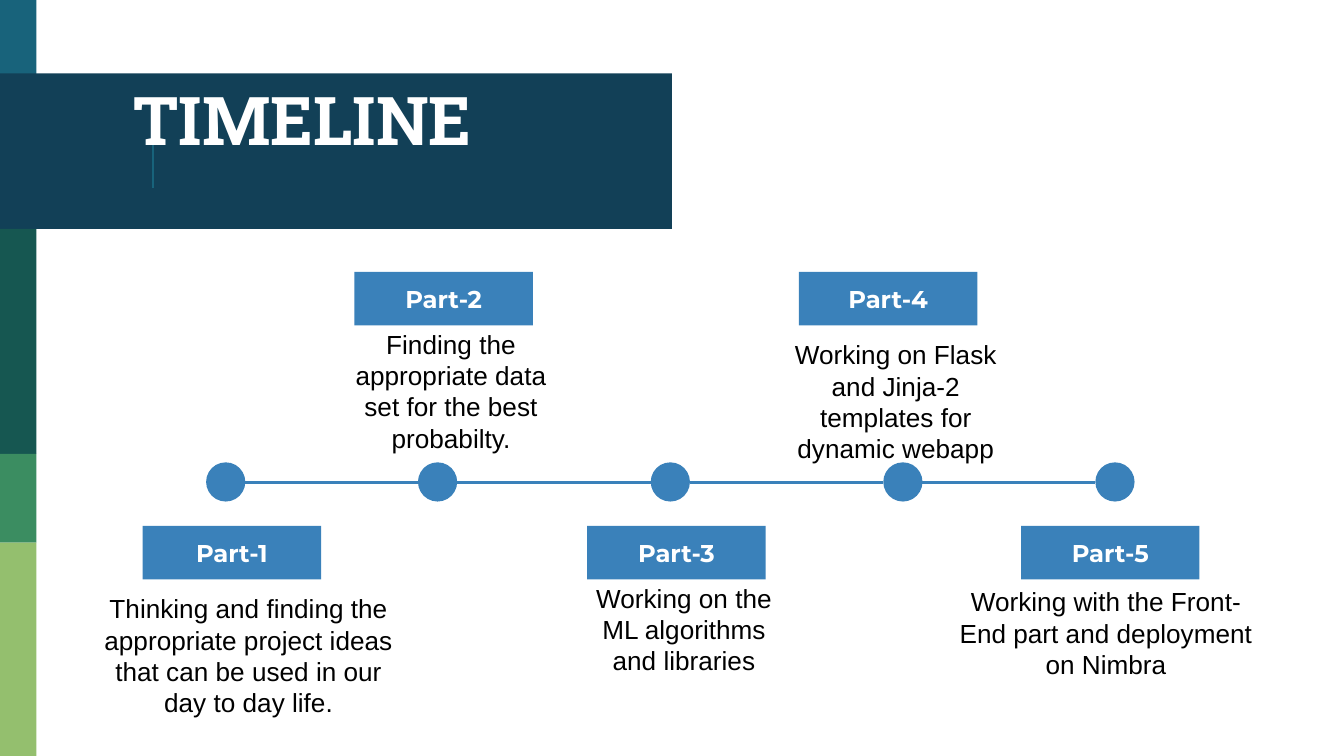
from dataclasses import dataclass
from itertools import pairwise

from lxml.etree import SubElement
from pptx import Presentation
from pptx.dml.color import RGBColor
from pptx.enum.shapes import MSO_CONNECTOR, MSO_SHAPE
from pptx.enum.text import MSO_ANCHOR, MSO_AUTO_SIZE, PP_ALIGN
from pptx.oxml.ns import qn
from pptx.util import Pt

COLORS = {
    "teal": "18637B", "navy": "124057", "forest": "165751", "green": "3B8D61",
    "lime": "94BF6E", "blue": "3A81BA", "white": "FFFFFF", "black": "000000",
}
DOT_SIZE = 21
DOT_TOP = 247.7
LINE_Y = 258.3
LABEL_WIDTH, LABEL_HEIGHT = 95.6, 28.6
UPPER_LABEL_TOP, LOWER_LABEL_TOP = 145.7, 281.8


@dataclass(frozen=True)
class Area:
    left: float
    top: float
    width: float
    height: float

    def points(self):
        return Pt(self.left), Pt(self.top), Pt(self.width), Pt(self.height)


@dataclass(frozen=True)
class Band:
    area: Area
    color: str


@dataclass(frozen=True)
class Milestone:
    dot_left: float
    label_left: float
    text: str
    text_area: Area
    inset: float = 7.2


BANDS = [
    Band(Area(0, 0, 19.5, 42), "teal"),
    Band(Area(0, 39.3, 360, 83.3), "navy"),
    Band(Area(0, 122.6, 19.5, 120.6), "forest"),
    Band(Area(0, 243.2, 19.5, 47.5), "green"),
    Band(Area(0, 290.7, 19.5, 114.3), "lime"),
]
MILESTONES = [
    Milestone(110.4, 76.4,
              "Thinking and finding the appropriate project ideas that can be used in our day to day life.",
              Area(48.2, 310.3, 170, 45.4)),
    Milestone(223.9, 189.9, "Finding the appropriate data set for the best probabilty.",
              Area(178.6, 168.5, 126, 45.4)),
    Milestone(348.6, 314.6, "Working on the ML algorithms and libraries",
              Area(303.1, 304.6, 126.7, 66.2)),
    Milestone(473.2, 428, "Working on Flask and Jinja-2 templates for dynamic webapp",
              Area(416.9, 174.2, 126, 62.6)),
    Milestone(586.8, 547, "Working with the Front-End part and deployment on Nimbra",
              Area(501.8, 310.3, 181.4, 57.6), 3.6),
]


def write_text(box, text: str, *, font: str, size: float, color: str, bold: bool = False,
               align=PP_ALIGN.CENTER, anchor=MSO_ANCHOR.TOP, inset: float = 7.2) -> None:
    frame = box.text_frame
    frame.word_wrap = True
    frame.auto_size = MSO_AUTO_SIZE.NONE
    frame.vertical_anchor = anchor
    frame.margin_left = frame.margin_right = Pt(7.2)
    frame.margin_top = frame.margin_bottom = Pt(inset)
    paragraph = frame.paragraphs[0]
    paragraph.alignment = align
    paragraph.line_spacing = 1.0
    span = paragraph.add_run()
    span.text = text
    span.font.name = font
    span.font.size = Pt(size)
    span.font.bold = bold
    span.font.color.rgb = RGBColor.from_string(COLORS[color])


def draw_shape(page, kind, area: Area, color: str):
    shape = page.shapes.add_shape(kind, *area.points())
    shape.shadow.inherit = False
    shape.fill.solid()
    shape.fill.fore_color.rgb = RGBColor.from_string(COLORS[color])
    shape.line.fill.background()
    return shape


def draw_line(page, start: tuple[float, float], end: tuple[float, float],
              color: str, width: float) -> None:
    line = page.shapes.add_connector(
        MSO_CONNECTOR.STRAIGHT, *(Pt(value) for value in start + end))
    line.line.color.rgb = RGBColor.from_string(COLORS[color])
    line.line.width = Pt(width)
    SubElement(line._element.spPr, qn("a:effectLst"))


def draw_title(page) -> None:
    title = page.shapes.title
    title.left, title.top, title.width, title.height = Area(64.4, 34.8, 629.7, 45.4).points()
    write_text(title, "TIMELINE", font="Roboto Slab", size=36, color="white", bold=True,
               align=PP_ALIGN.LEFT)
    page.shapes._spTree.append(title._element)


def draw_milestone(page, number: int, milestone: Milestone) -> None:
    label_top = LOWER_LABEL_TOP if number % 2 else UPPER_LABEL_TOP
    label = draw_shape(page, MSO_SHAPE.RECTANGLE,
                       Area(milestone.label_left, label_top, LABEL_WIDTH, LABEL_HEIGHT), "blue")
    write_text(label, f"Part-{number}", font="Montserrat", size=13, color="white", bold=True,
               anchor=MSO_ANCHOR.MIDDLE)
    description = page.shapes.add_textbox(*milestone.text_area.points())
    write_text(description, milestone.text, font="Arial", size=14, color="black",
               inset=milestone.inset)
    draw_shape(page, MSO_SHAPE.OVAL,
               Area(milestone.dot_left, DOT_TOP, DOT_SIZE, DOT_SIZE), "blue")


def main() -> None:
    deck = Presentation()
    deck.slide_width, deck.slide_height = Pt(720), Pt(405)
    page = deck.slides.add_slide(deck.slide_layouts[5])
    for band in BANDS:
        draw_shape(page, MSO_SHAPE.RECTANGLE, band.area, band.color)
    draw_line(page, (81.9, 64), (81.9, 100.8), "teal", 0.75)
    draw_title(page)
    for number, milestone in enumerate(MILESTONES, 1):
        draw_milestone(page, number, milestone)
    for left, right in pairwise(MILESTONES):
        draw_line(page, (left.dot_left + DOT_SIZE, LINE_Y), (right.dot_left, LINE_Y), "blue", 1.5)
    deck.save("out.pptx")


if __name__ == "__main__":
    main()
